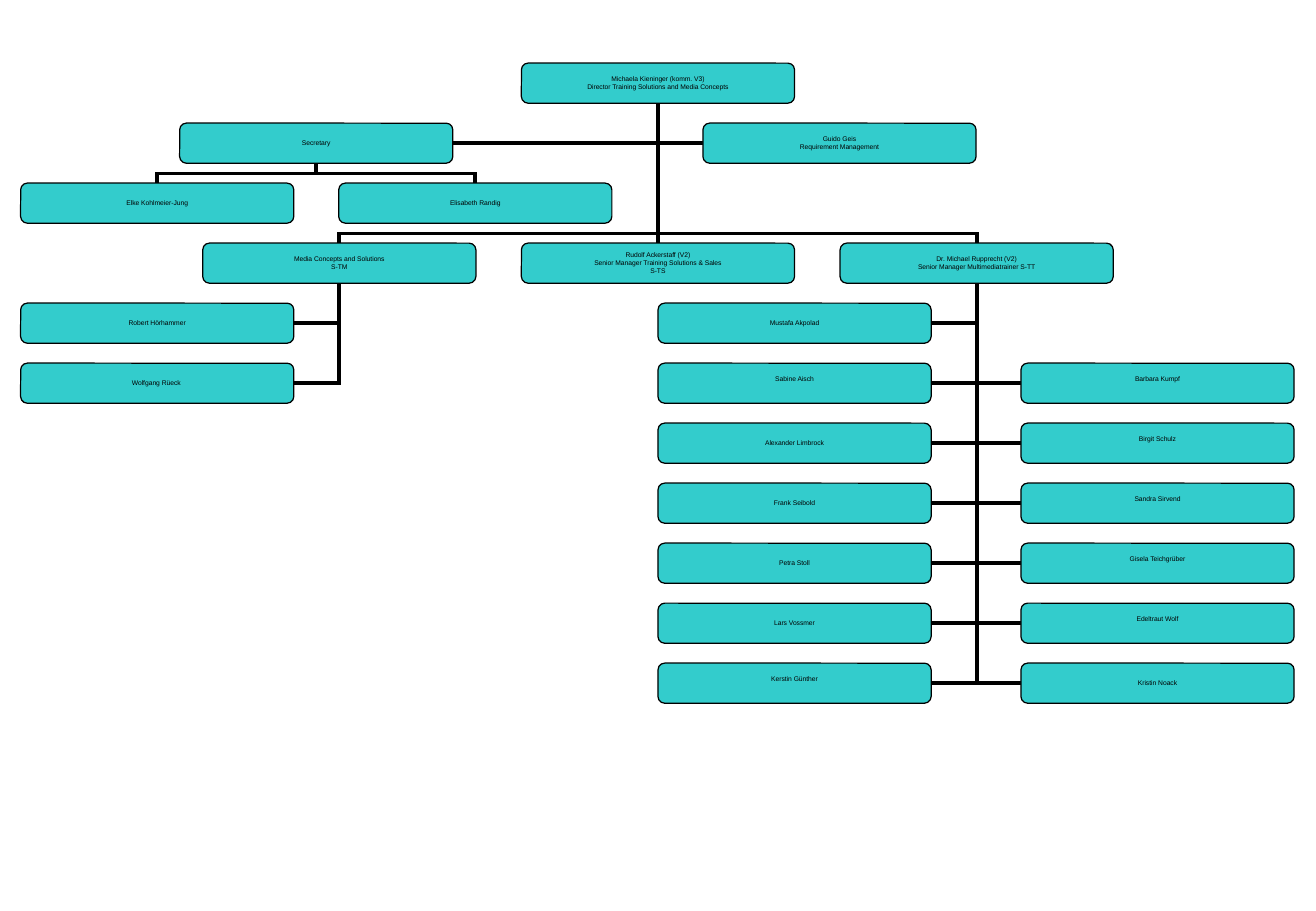
from dataclasses import dataclass

import pptx
import pptx.dml.color
import pptx.enum.shapes
import pptx.enum.text
import pptx.oxml.ns
import pptx.shapes.autoshape
import pptx.shapes.connector
import pptx.slide
import pptx.util
from lxml import etree
from pptx.util import Inches

COLORS = {"box": "33CCCC", "ink": "000000"}
FONT = "Arial"
BOX_W, BOX_H = 2.25, 0.33
FIRST_ROW, PITCH = 0.52, 4.94 / 10
UNIT_LEFT, UNIT_STEP = 1.67, 5.25 / 2
BUS_DROP = 0.08
RAISED_INSET = 0.07
TOP, LEFT, BOTTOM, RIGHT = range(4)


@dataclass(frozen=True)
class Box:
    key: str
    left: float
    row: int
    lines: tuple[str, ...]
    raised: bool = False

    @property
    def top(self) -> float:
        return FIRST_ROW + PITCH * self.row

    @property
    def center(self) -> float:
        return self.left + BOX_W / 2


@dataclass(frozen=True)
class Branch:
    parent: str
    child: str
    side: int


@dataclass(frozen=True)
class Team:
    parent: str
    left: float
    first_row: int
    side: int
    members: tuple[str, ...]
    raised: tuple[str, ...] = ()


HEADS = [
    Box("director", UNIT_LEFT + UNIT_STEP, 0,
        ("Michaela Kieninger (komm. V3)", "Director Training Solutions and Media Concepts")),
    Box("secretary", 1.48, 1, ("Secretary",)),
    Box("requirements", 5.79, 1, ("Guido Geis", "Requirement Management")),
    Box("kohlmeier", 0.17, 2, ("Elke Kohlmeier-Jung",)),
    Box("randig", 2.79, 2, ("Elisabeth Randig",)),
    Box("media", UNIT_LEFT, 3, ("Media Concepts and Solutions", "S-TM")),
    Box("sales", UNIT_LEFT + UNIT_STEP, 3,
        ("Rudolf Ackerstaff (V2)", "Senior Manager Training Solutions & Sales", "S-TS")),
    Box("trainer", UNIT_LEFT + 2 * UNIT_STEP, 3,
        ("Dr. Michael Rupprecht (V2)", "Senior Manager Multimediatrainer S-TT")),
]
BUS_BRANCHES = [
    Branch("secretary", "kohlmeier", TOP),
    Branch("secretary", "randig", TOP),
    Branch("director", "media", TOP),
    Branch("director", "trainer", TOP),
]
SIDE_BRANCHES = [
    Branch("director", "secretary", RIGHT),
    Branch("director", "requirements", LEFT),
]
TEAMS = [
    Team("media", 0.17, 4, RIGHT, ("Robert Hörhammer", "Wolfgang Rüeck ")),
    Team("trainer", 5.42, 4, RIGHT,
         ("Mustafa Akpolad", "Sabine Aisch", "Alexander Limbrock", "Frank Seibold",
          "Petra Stoll", "Lars Vossmer", "Kerstin Günther"),
         ("Sabine Aisch", "Kerstin Günther")),
    Team("trainer", 8.41, 5, LEFT,
         ("Barbara Kumpf", "Birgit Schulz", "Sandra Sirvend", "Gisela Teichgrüber",
          "Edeltraut Wolf", "Kristin Noack"),
         ("Barbara Kumpf", "Birgit Schulz", "Sandra Sirvend", "Gisela Teichgrüber", "Edeltraut Wolf")),
]


def rgb(name: str) -> pptx.dml.color.RGBColor:
    return pptx.dml.color.RGBColor.from_string(COLORS[name])


def draw_box(s: pptx.slide.Slide, box: Box) -> pptx.shapes.autoshape.Shape:
    sp = s.shapes.add_shape(
        pptx.enum.shapes.MSO_SHAPE.ROUNDED_RECTANGLE,
        Inches(box.left), Inches(box.top), Inches(BOX_W), Inches(BOX_H))
    sp.shadow.inherit = False
    sp.fill.solid()
    sp.fill.fore_color.rgb = rgb("box")
    sp.line.color.rgb = rgb("ink")
    sp.line.width = pptx.util.Pt(0.75)
    tf = sp.text_frame
    tf.word_wrap = False
    tf.vertical_anchor = pptx.enum.text.MSO_ANCHOR.MIDDLE
    tf.margin_left = tf.margin_right = tf.margin_top = 0
    tf.margin_bottom = Inches(RAISED_INSET if box.raised else 0)
    for i, line in enumerate(box.lines):
        p = tf.add_paragraph() if i else tf.paragraphs[0]
        p.alignment = pptx.enum.text.PP_ALIGN.CENTER
        r = p.add_run()
        r.text = line
        r.font.name = FONT
        r.font.size = pptx.util.Pt(4)
        r.font.color.rgb = rgb("ink")
    return sp


def add_line(s: pptx.slide.Slide, kind: pptx.enum.shapes.MSO_CONNECTOR,
             x1: float, y1: float, x2: float, y2: float) -> pptx.shapes.connector.Connector:
    c = s.shapes.add_connector(kind, Inches(x1), Inches(y1), Inches(x2), Inches(y2))
    c.line.color.rgb = rgb("ink")
    c.line.width = pptx.util.Pt(2.25)
    ln = c._element.spPr.find(pptx.oxml.ns.qn("a:ln"))
    etree.SubElement(ln, pptx.oxml.ns.qn("a:miter"), lim="800000")
    etree.SubElement(c._element.spPr, pptx.oxml.ns.qn("a:effectLst"))
    s.shapes._spTree.insert(2, c._element)
    return c


def draw_side_branch(s: pptx.slide.Slide, parent: Box, child: Box, side: int,
                     shapes: dict[str, pptx.shapes.autoshape.Shape]) -> None:
    c = add_line(s, pptx.enum.shapes.MSO_CONNECTOR.ELBOW,
                 child.left + (BOX_W if side == RIGHT else 0), child.top + BOX_H / 2,
                 parent.center, parent.top + BOX_H)
    c._element.spPr.find(pptx.oxml.ns.qn("a:prstGeom")).set("prst", "bentConnector2")
    c.begin_connect(shapes[child.key], side)
    c.end_connect(shapes[parent.key], BOTTOM)


def draw_bus_branch(s: pptx.slide.Slide, parent: Box, child: Box) -> None:
    rise = child.top - parent.top - BOX_H
    run = parent.center - child.center
    mid_x = (parent.center + child.center) / 2
    mid_y = child.top - rise / 2
    c = add_line(s, pptx.enum.shapes.MSO_CONNECTOR.ELBOW,
                 mid_x - rise / 2, mid_y - abs(run) / 2,
                 mid_x + rise / 2, mid_y + abs(run) / 2)
    xfrm = c._element.spPr.find(pptx.oxml.ns.qn("a:xfrm"))
    xfrm.set("rot", str(270 * 60000))
    if run < 0:
        xfrm.set("flipV", "1")
    adjustments = c._element.spPr.find(pptx.oxml.ns.qn("a:prstGeom")).get_or_add_avLst()
    etree.SubElement(adjustments, pptx.oxml.ns.qn("a:gd"),
                     name="adj1", fmla=f"val {round(BUS_DROP / rise * 100000)}")


def main() -> None:
    prs = pptx.Presentation()
    prs.slide_width, prs.slide_height = Inches(10.84), Inches(7.5)
    s = prs.slides.add_slide(prs.slide_layouts[6])

    boxes = list(HEADS)
    side_branches = list(SIDE_BRANCHES)
    for team in TEAMS:
        for i, member in enumerate(team.members):
            boxes.append(Box(member, team.left, team.first_row + i, (member,), member in team.raised))
            side_branches.append(Branch(team.parent, member, team.side))

    by_key = {box.key: box for box in boxes}
    shapes = {box.key: draw_box(s, box) for box in boxes}
    for b in side_branches:
        draw_side_branch(s, by_key[b.parent], by_key[b.child], b.side, shapes)
    for b in BUS_BRANCHES:
        draw_bus_branch(s, by_key[b.parent], by_key[b.child])
    director, sales = by_key["director"], by_key["sales"]
    trunk = add_line(s, pptx.enum.shapes.MSO_CONNECTOR.STRAIGHT,
                     sales.center, sales.top, director.center, director.top + BOX_H)
    trunk.begin_connect(shapes["sales"], TOP)
    trunk.end_connect(shapes["director"], BOTTOM)

    prs.save("out.pptx")


if __name__ == "__main__":
    main()
